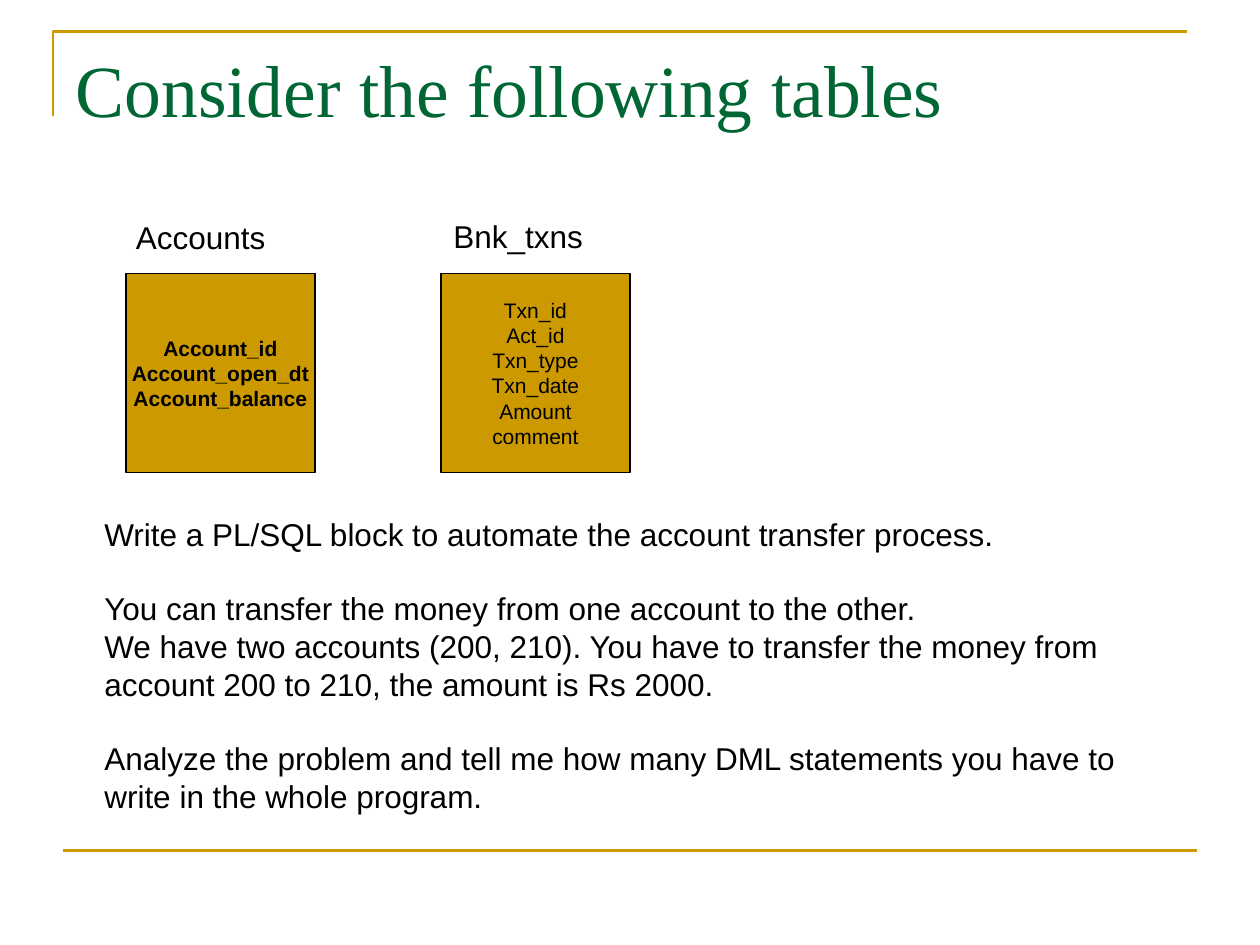
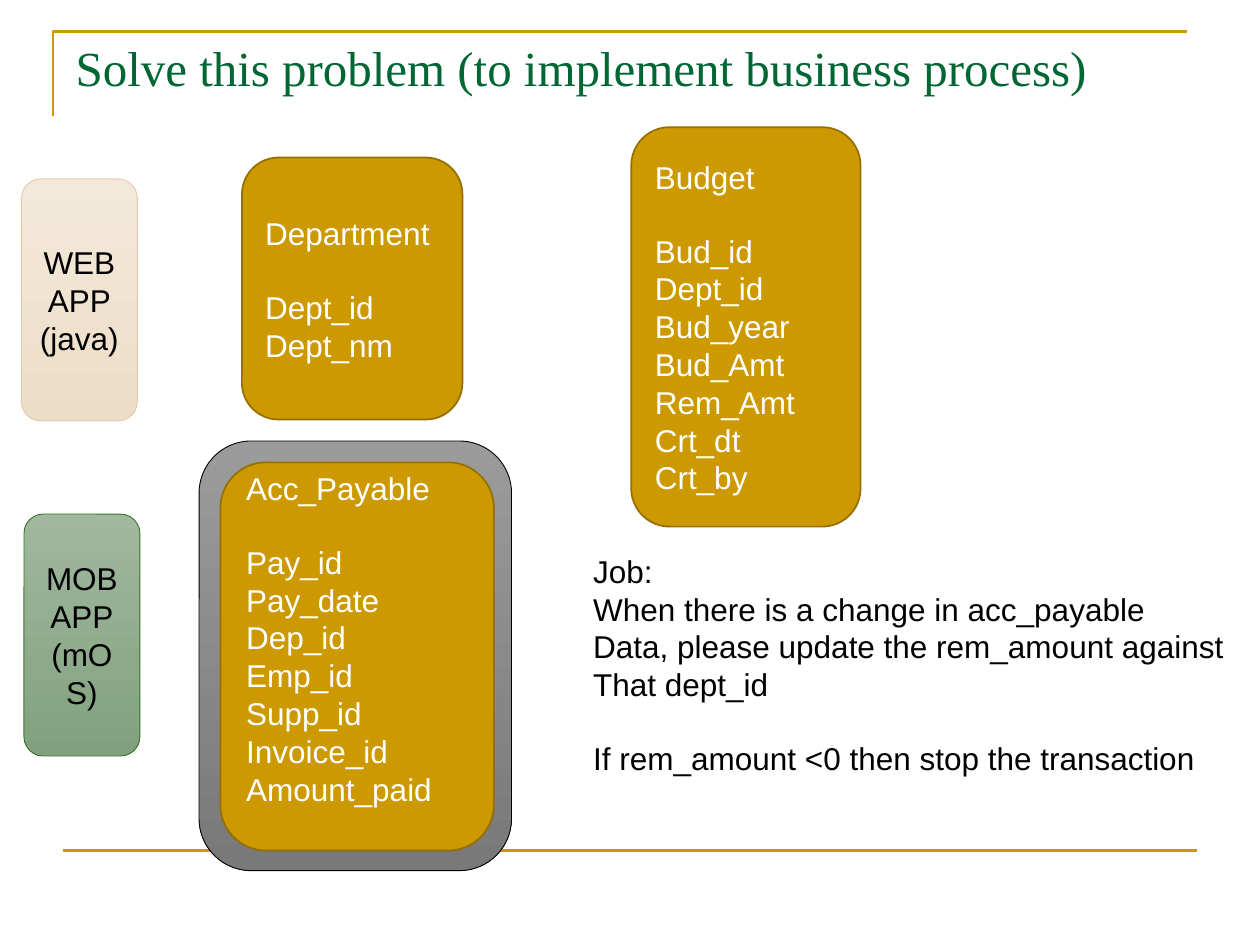
from pptx import Presentation
from pptx.dml.color import RGBColor
from pptx.enum.shapes import MSO_CONNECTOR, MSO_SHAPE
from pptx.enum.text import MSO_ANCHOR, MSO_AUTO_SIZE, PP_ALIGN
from pptx.oxml.ns import qn
from pptx.util import Inches, Pt
from lxml import etree

GOLD = RGBColor(0xCC, 0x99, 0x00)
DARK_GOLD = RGBColor(0x95, 0x6F, 0x00)
GREEN = RGBColor(0x00, 0x66, 0x33)
BLACK = RGBColor(0x00, 0x00, 0x00)
WHITE = RGBColor(0xFF, 0xFF, 0xFF)
GRAYS = RGBColor(0x9B, 0x9B, 0x9B), RGBColor(0x79, 0x79, 0x79)
SANDS = RGBColor(0xF3, 0xE9, 0xDB), RGBColor(0xED, 0xDD, 0xC7)
SAND_EDGE = RGBColor(0xE2, 0xCA, 0xAA)
SAGES = RGBColor(0xA1, 0xB8, 0x9F), RGBColor(0x81, 0xA1, 0x7E)
SAGE_EDGE = RGBColor(0x35, 0x74, 0x2A)

TITLE_FONT = "Times New Roman"
BODY_FONT = "Arial"
BODY_SIZE = 18
BLANK_LINE = Pt(20.7)
TITLE_ONLY = 5

RECTANGLE = MSO_SHAPE.RECTANGLE
ROUNDED = MSO_SHAPE.ROUNDED_RECTANGLE
STRAIGHT = MSO_CONNECTOR.STRAIGHT
TOP, MIDDLE = MSO_ANCHOR.TOP, MSO_ANCHOR.MIDDLE
LEFT, CENTER = PP_ALIGN.LEFT, PP_ALIGN.CENTER
NO_FIT, GROW = MSO_AUTO_SIZE.NONE, MSO_AUTO_SIZE.SHAPE_TO_FIT_TEXT


class DeckBuilder:
    def __init__(self):
        self.deck = Presentation()
        self.deck.slide_width = Inches(10)
        self.deck.slide_height = Inches(7.5)
        self.page = None

    def add_page(self, title, place, size):
        self.page = self.deck.slides.add_slide(self.deck.slide_layouts[TITLE_ONLY])
        self.add_frame_lines()
        box = self.page.shapes.title
        box.left, box.top, box.width, box.height = map(Inches, place)
        box.text_frame.auto_size = NO_FIT
        box.text_frame.vertical_anchor = TOP
        self.fill_text(box.text_frame, [title], size, GREEN, font=TITLE_FONT)

    def add_frame_lines(self):
        """Draw the gold corner at the top and the gold rule at the bottom."""
        builder = self.page.shapes.build_freeform(Inches(0.42), Inches(0.92))
        builder.add_line_segments(
            [(Inches(0.42), Inches(0.25)), (Inches(9.42), Inches(0.25))], close=False)
        corner = builder.convert_to_shape()
        corner.shadow.inherit = False
        corner.fill.background()
        rule = self.page.shapes.add_connector(
            STRAIGHT, Inches(0.5), Inches(6.75), Inches(9.5), Inches(6.75))
        etree.SubElement(rule._element.spPr, qn("a:effectLst"))
        for item in (corner, rule):
            item.line.color.rgb = GOLD
            item.line.width = Pt(1.5)

    def fill_text(self, frame, lines, size, color, align=LEFT, bold=False,
                  font=BODY_FONT, gaps=()):
        """Fill a frame; gaps holds the indexes of lines that follow a blank line."""
        for index, line in enumerate(lines):
            paragraph = frame.paragraphs[0] if index == 0 else frame.add_paragraph()
            paragraph.text = line
            paragraph.alignment = align
            if index in gaps:
                paragraph.space_before = BLANK_LINE
            paragraph.font.name = font
            paragraph.font.size = Pt(size)
            paragraph.font.bold = bold
            paragraph.font.color.rgb = color

    def add_text(self, place, lines, gaps=()):
        box = self.page.shapes.add_textbox(*map(Inches, place))
        box.text_frame.word_wrap = False
        box.text_frame.auto_size = GROW
        self.fill_text(box.text_frame, lines, BODY_SIZE, BLACK, gaps=gaps)

    def add_panel(self, kind, place, fill, edge, edge_width):
        """Add a shape; fill is one colour, or a (top, bottom) pair to blend."""
        panel = self.page.shapes.add_shape(kind, *map(Inches, place))
        panel.shadow.inherit = False
        if isinstance(fill, RGBColor):
            panel.fill.solid()
            panel.fill.fore_color.rgb = fill
        else:
            panel.fill.gradient()
            panel.fill.gradient_angle = 270
            for position, (stop, color) in enumerate(zip(panel.fill.gradient_stops, fill)):
                stop.position = position
                stop.color.rgb = color
        panel.line.color.rgb = edge
        panel.line.width = Pt(edge_width)
        panel.text_frame.vertical_anchor = MIDDLE
        return panel

    def add_column_list(self, left, columns, bold=False):
        panel = self.add_panel(RECTANGLE, (left, 2.17, 1.5, 1.58), GOLD, BLACK, 0.75)
        panel.text_frame.word_wrap = False
        self.fill_text(panel.text_frame, columns, 12, BLACK, CENTER, bold)

    def add_entity(self, place, name, columns, bottom_inset=0.05):
        panel = self.add_panel(ROUNDED, place, GOLD, DARK_GOLD, 1)
        panel.text_frame.margin_bottom = Inches(bottom_inset)
        self.fill_text(panel.text_frame, [name, *columns], BODY_SIZE, WHITE, gaps=(1,))

    def add_client(self, left, top, lines, fill, edge):
        panel = self.add_panel(ROUNDED, (left, top, 0.92, 1.92), fill, edge, 0.5)
        self.fill_text(panel.text_frame, lines, BODY_SIZE, BLACK, CENTER)


def add_tables_page(builder):
    builder.add_page("Consider the following tables", (0.5, 0.3, 9, 1.25), 42)
    builder.add_column_list(
        1, ["Account_id", "Account_open_dt", "Account_balance"], bold=True)
    builder.add_column_list(
        3.5, ["Txn_id", "Act_id", "Txn_type", "Txn_date", "Amount", "comment"])
    builder.add_text((0.98, 1.68, 1.23, 0.4), ["Accounts"])
    builder.add_text((3.5, 1.67, 1.23, 0.4), ["Bnk_txns"])
    builder.add_text((0.73, 4.04, 8.3, 2.5), [
        "Write a PL/SQL block to automate the account transfer process.",
        "You can transfer the money from one account to the other.\n"
        "We have two accounts (200, 210). You have to transfer the money from\n"
        "account 200 to 210, the amount is Rs 2000.",
        "Analyze the problem and tell me how many DML statements you have to\n"
        "write in the whole program.",
    ], gaps=(1, 2))


def add_problem_page(builder):
    builder.add_page("Solve this problem (to implement business process)",
                     (0.5, 0.25, 9, 0.84), 28)
    builder.add_panel(ROUNDED, (1.58, 3.5, 2.48, 3.41), GRAYS, BLACK, 0.5)
    builder.add_entity((5.01, 1.01, 1.82, 3.17), "Budget", [
        "Bud_id", "Dept_id", "Bud_year", "Bud_Amt", "Rem_Amt", "Crt_dt", "Crt_by"])
    builder.add_entity((1.92, 1.25, 1.75, 2.08), "Department", ["Dept_id", "Dept_nm"])
    builder.add_entity((1.75, 3.67, 2.17, 3.08), "Acc_Payable", [
        "Pay_id", "Pay_date", "Dep_id", "Emp_id", "Supp_id", "Invoice_id",
        "Amount_paid"], bottom_inset=0.34)
    builder.add_client(0.17, 1.42, ["WEB", "APP", "(java)"], SANDS, SAND_EDGE)
    builder.add_client(0.19, 4.08, ["MOB", "APP", "(mOS)"], SAGES, SAGE_EDGE)
    builder.add_text((4.61, 4.33, 5.2, 1.9), [
        "Job:",
        "When there is a change in acc_payable",
        "Data, please update the rem_amount against",
        "That dept_id",
        "If rem_amount <0 then stop the transaction",
    ], gaps=(4,))


def main():
    builder = DeckBuilder()
    add_tables_page(builder)
    add_problem_page(builder)
    builder.deck.save("out.pptx")


if __name__ == "__main__":
    main()
